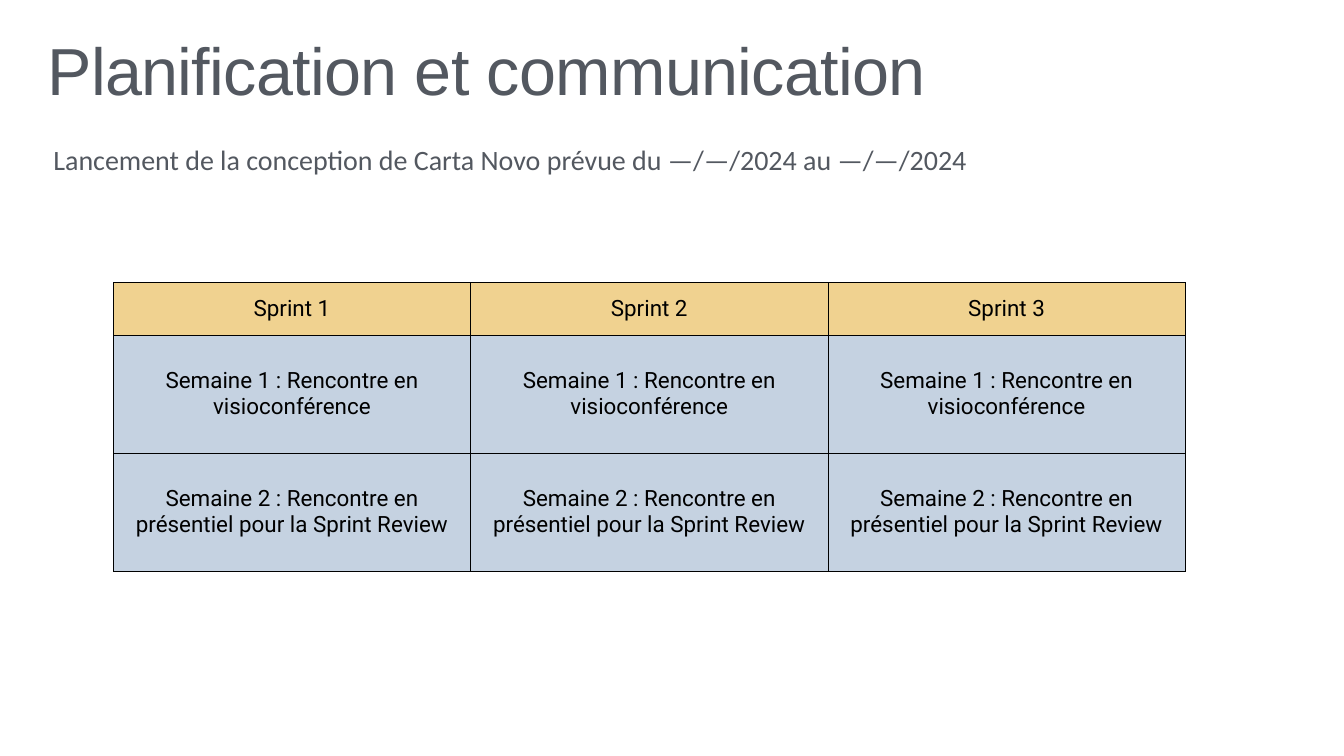
import pptx
import pptx.dml.color
import pptx.enum.text
import pptx.oxml
import pptx.oxml.ns
import pptx.util

PX = 9144  # EMU per px, 100 px to the inch
INSET = 6
GREY, BLACK = "535860", "000000"
HEADER_FILL, WEEK_FILL = "F0D290", "C5D2E1"
SPRINTS = 3
WEEKS = [
    "Semaine 1 : Rencontre en visioconférence",
    "Semaine 2 : Rencontre en présentiel pour la Sprint Review",
]


def px(length):
    return pptx.util.Emu(length * PX)


def color(hex_string):
    return pptx.dml.color.RGBColor.from_string(hex_string)


def write(frame, text, *, size, font, fill, align="LEFT", line_spacing=None, tracking=None):
    """Put one formatted paragraph in a text frame."""
    frame.word_wrap = True
    paragraph = frame.paragraphs[0]
    paragraph.alignment = getattr(pptx.enum.text.PP_ALIGN, align)
    if line_spacing:
        paragraph.line_spacing = line_spacing
    run = paragraph.add_run()
    run.text = text
    run.font.size = pptx.util.Pt(size)
    run.font.name = font
    run.font.color.rgb = color(fill)
    if tracking:
        run.font._element.set("spc", str(tracking))


def set_margins(target):
    for side in ("left", "top", "right", "bottom"):
        setattr(target, f"margin_{side}", px(INSET))


def add_text(slide, box, text, **text_format):
    shape = slide.shapes.add_textbox(*map(px, box))
    set_margins(shape.text_frame)
    write(shape.text_frame, text, **text_format)


def set_borders(cell, hex_string, width):
    properties = cell._tc.get_or_add_tcPr()
    namespace = pptx.oxml.ns.nsdecls("a")
    for index, side in enumerate(("lnL", "lnR", "lnT", "lnB")):
        properties.insert(index, pptx.oxml.parse_xml(
            f'<a:{side} {namespace} w="{pptx.util.Pt(width)}"><a:solidFill>'
            f'<a:srgbClr val="{hex_string}"/></a:solidFill></a:{side}>'))


def add_heading(slide, box):
    """Title, with the launch dates below it."""
    left, top, width, height = box
    add_text(slide, (left, top, width, 185), "Planification et communication",
             size=95, font="Arial", fill=GREY, line_spacing=0.9, tracking=-100)
    add_text(slide, (left + 12, top + height - 113, 2015, 113),
             "Lancement de la conception de Carta Novo prévue du —/—/2024 au —/—/2024",
             size=40, font="Calibri", fill=GREY)


def add_sprint_table(slide, box):
    """One column per sprint: a header row, then one row per week."""
    left, top, width, height = box
    header_height = 104
    week_height = (height - header_height) // len(WEEKS)
    rows = [[f"Sprint {number}" for number in range(1, SPRINTS + 1)]]
    rows += [[week] * SPRINTS for week in WEEKS]
    table = slide.shapes.add_table(len(rows), SPRINTS, *map(px, box)).table

    for column in table.columns:
        column.width = px(width // SPRINTS)
    for row_index, texts in enumerate(rows):
        table.rows[row_index].height = px(week_height if row_index else header_height)
        for column_index, text in enumerate(texts):
            cell = table.cell(row_index, column_index)
            set_margins(cell)
            cell.vertical_anchor = pptx.enum.text.MSO_ANCHOR.MIDDLE
            cell.fill.solid()
            cell.fill.fore_color.rgb = color(WEEK_FILL if row_index else HEADER_FILL)
            set_borders(cell, BLACK, 1)
            write(cell.text_frame, text, size=32, font="Roboto", fill=BLACK, align="CENTER")


def main():
    presentation = pptx.Presentation()
    presentation.slide_width, presentation.slide_height = px(2667), px(1500)
    slide = presentation.slides.add_slide(presentation.slide_layouts[6])
    add_sprint_table(slide, (225, 561, 2127, 572))
    add_heading(slide, (88, 69, 2403, 320))
    presentation.save("out.pptx")


if __name__ == "__main__":
    main()
